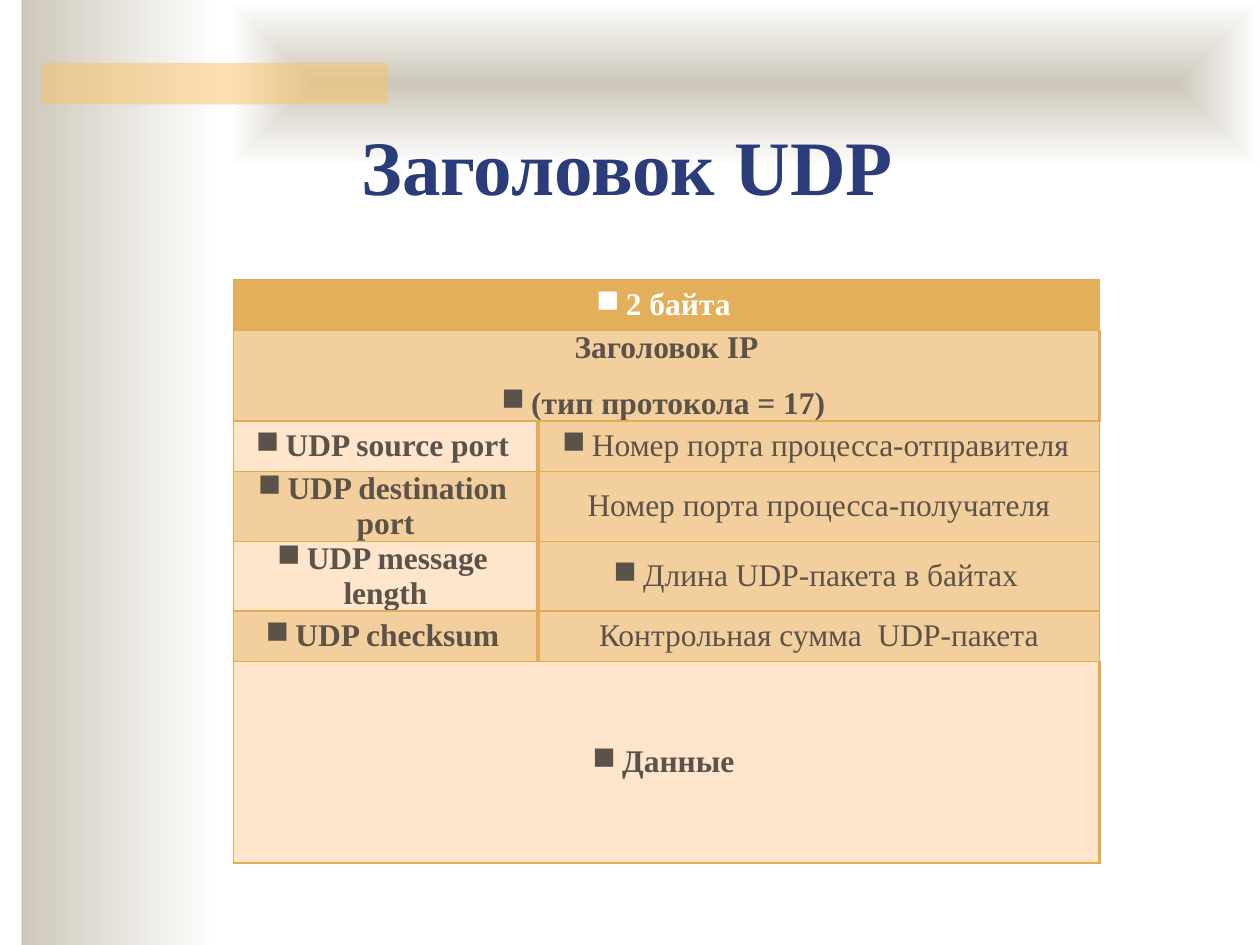
from lxml import etree
from pptx import Presentation
from pptx import util as u
from pptx.dml import color
from pptx.enum import shapes, text
from pptx.oxml import ns

FONT = "Times New Roman"
COLORS = {
    "sand": "CEC8BA", "white": "FFFFFF", "accent": "FAC164", "title": "2A3D7A",
    "text": "5B5249", "header": "E3AF5A", "band": "F3CF9D", "pale": "FEE5CC",
    "border": "E1AC55",
}
ROWS = [
    (["2 байта"], None, "header"),
    (["Заголовок IP", "(тип протокола = 17)"], None, "band"),
    (["UDP source port"], "Номер порта процесса-отправителя", "pale"),
    (["UDP destination port"], "Номер порта процесса-получателя", "band"),
    (["UDP message length"], "Длина UDP-пакета в байтах", "pale"),
    (["UDP checksum"], "Контрольная сумма  UDP-пакета", "band"),
    (["Данные"], None, "pale"),
]
UNBULLETED = {"Заголовок IP", "Номер порта процесса-получателя",
              "Контрольная сумма  UDP-пакета"}


def rgb(name):
    return color.RGBColor.from_string(COLORS[name])


def sub(parent, tag, **attrs):
    return etree.SubElement(parent, ns.qn(tag), attrs)


def style_font(p, size, name, bold):
    p.alignment = text.PP_ALIGN.CENTER
    p.font.size = u.Pt(size)
    p.font.name = FONT
    p.font.bold = bold
    p.font.color.rgb = rgb(name)


def add_rect(s, left, top, width, height):
    sp = s.shapes.add_shape(shapes.MSO_SHAPE.RECTANGLE, u.Inches(left),
                            u.Inches(top), u.Inches(width), u.Inches(height))
    sp.shadow.inherit = False
    sp.line.fill.background()
    return sp


def add_gradient(s, *box, centred=False):
    sp = add_rect(s, *box)
    sp.fill.gradient()
    sp.fill.gradient_angle = 0
    for stop, name, position in zip(sp.fill.gradient_stops, ("sand", "white"), (0, 1)):
        stop.color.rgb = rgb(name)
        stop.position = position
    if centred:
        grad = sp._element.spPr.find(ns.qn("a:gradFill"))
        grad.remove(grad.find(ns.qn("a:lin")))
        focus = sub(grad, "a:path", path="rect")
        sub(focus, "a:fillToRect", l="50000", t="50000", r="50000", b="50000")


def add_accent(s):
    sp = add_rect(s, 0.33, 0.5, 2.75, 0.33)
    sp.fill.solid()
    sp.fill.fore_color.rgb = rgb("accent")
    solid = sp._element.spPr.find(ns.qn("a:solidFill"))
    sub(solid[0], "a:alpha", val="50000")


def set_title(s):
    title = s.shapes.title
    title.left, title.top = u.Inches(0.12), u.Inches(0.84)
    title.width, title.height = u.Inches(9.72), u.Inches(1.1)
    tf = title.text_frame
    tf.text = "Заголовок UDP"
    tf.vertical_anchor = text.MSO_ANCHOR.TOP
    tf.margin_top = u.Inches(0.1)
    style_font(tf.paragraphs[0], 44, "title", True)
    s.shapes._spTree.append(title._element)


def set_borders(cell, **widths):
    tc_pr = cell._tc.get_or_add_tcPr()
    for i, side in enumerate("LRTB"):
        width = widths.get(side, 0.75)
        ln = etree.Element(ns.qn(f"a:ln{side}"), {"w": str(u.Pt(width))})
        fill = sub(ln, "a:solidFill")
        sub(fill, "a:srgbClr", val=COLORS["border"])
        tc_pr.insert(i, ln)


def fill_cell(cell, lines, fill, ink, bold):
    cell.fill.solid()
    cell.fill.fore_color.rgb = rgb(fill)
    cell.vertical_anchor = text.MSO_ANCHOR.MIDDLE
    cell.margin_left = cell.margin_right = u.Inches(0.05)
    cell.margin_top = cell.margin_bottom = 0
    tf = cell.text_frame
    tf.text = "\n".join(lines)
    for p in tf.paragraphs:
        style_font(p, 18, ink, bold)
        p.space_before = p.space_after = u.Pt(6)
        if p.text not in UNBULLETED:
            bullet = etree.Element(ns.qn("a:buChar"), {"char": "■"})
            p._p.pPr.find(ns.qn("a:spcAft")).addnext(bullet)


def add_header_table(s):
    frame = s.shapes.add_table(len(ROWS), 2, u.Inches(1.85), u.Inches(2.22),
                               u.Inches(6.88), u.Inches(4))
    table = frame.table
    for column, width in zip(table.columns, (2.42, 4.46)):
        column.width = u.Inches(width)
    for i, (lines, meaning, fill) in enumerate(ROWS):
        table.rows[i].height = u.Inches(1.6 if i == len(ROWS) - 1 else 0.4)
        left, right = table.cell(i, 0), table.cell(i, 1)
        fill_cell(left, lines, fill, "white" if i == 0 else "text", True)
        if meaning:
            fill_cell(right, [meaning], "band", "text", False)
            set_borders(left, R=2)
            set_borders(right, L=2)
        else:
            left.merge(right)
            for cell in (left, right):
                set_borders(cell, R=2 if i else 0.75)


def main():
    prs = Presentation()
    prs.slide_width, prs.slide_height = u.Inches(10), u.Inches(7.5)
    s = prs.slides.add_slide(prs.slide_layouts[5])
    add_gradient(s, 0.17, 0, 1.58, 7.5)
    add_gradient(s, 1.83, 0, 8.17, 1.33, centred=True)
    add_accent(s)
    set_title(s)
    add_header_table(s)
    prs.save("out.pptx")


if __name__ == "__main__":
    main()
